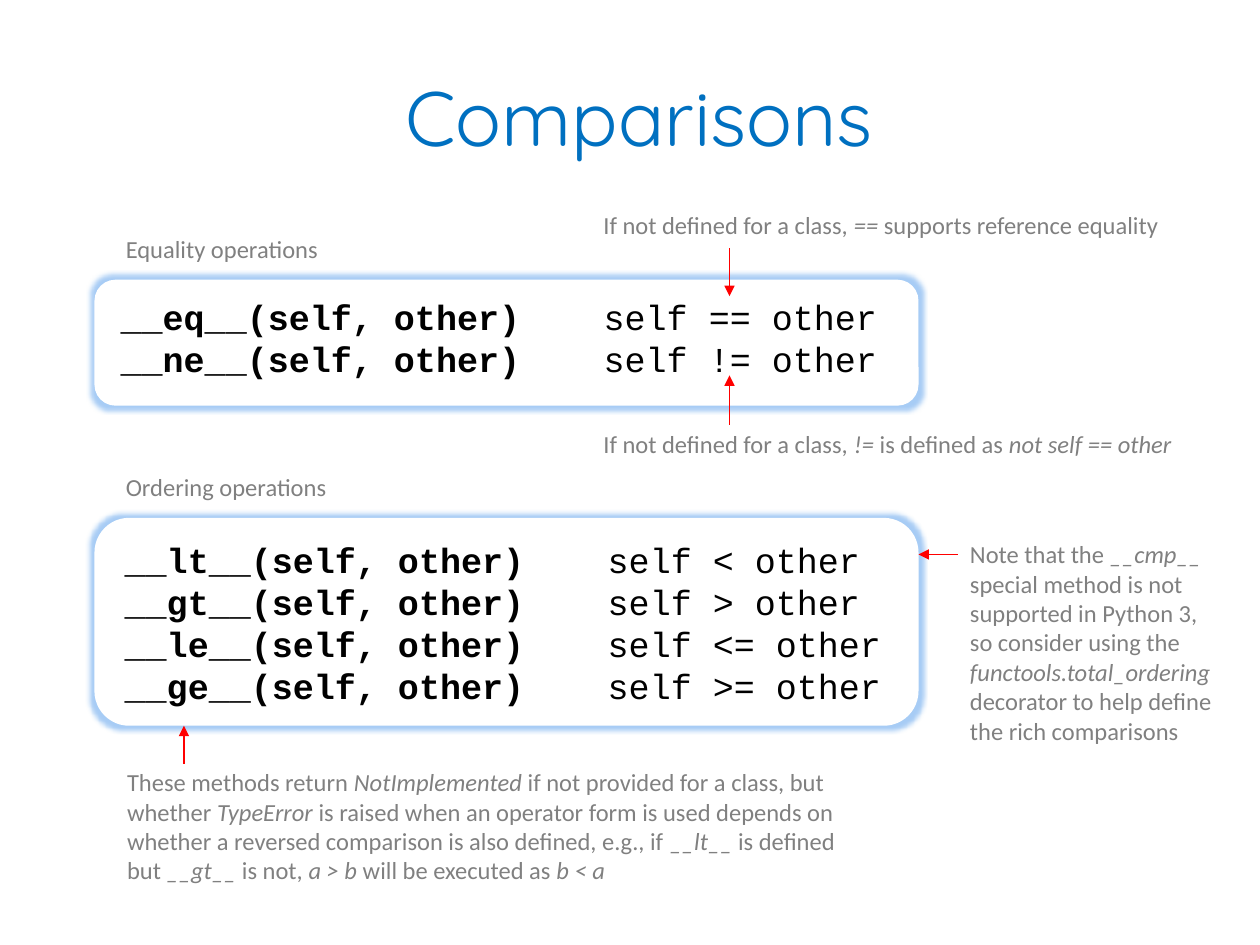
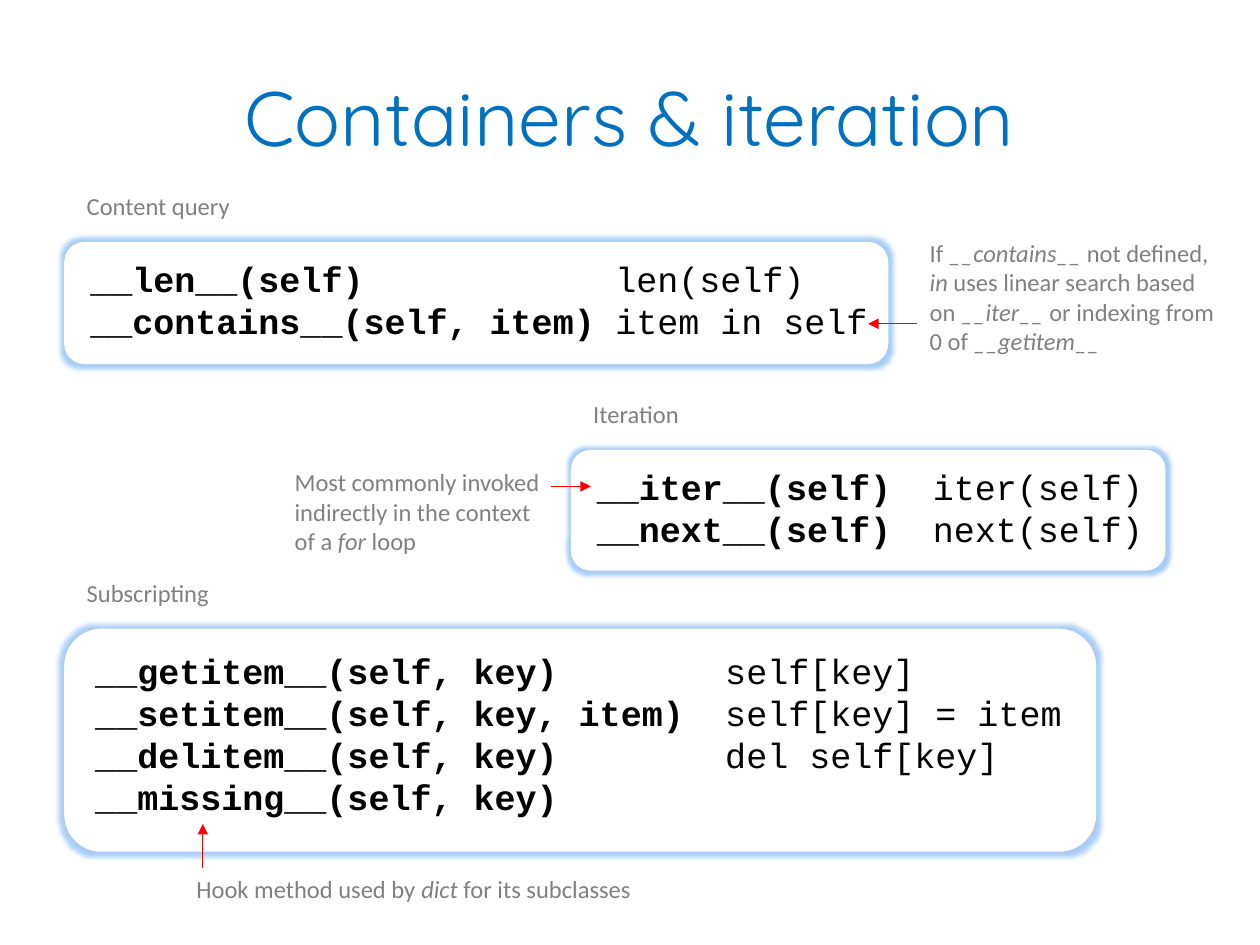
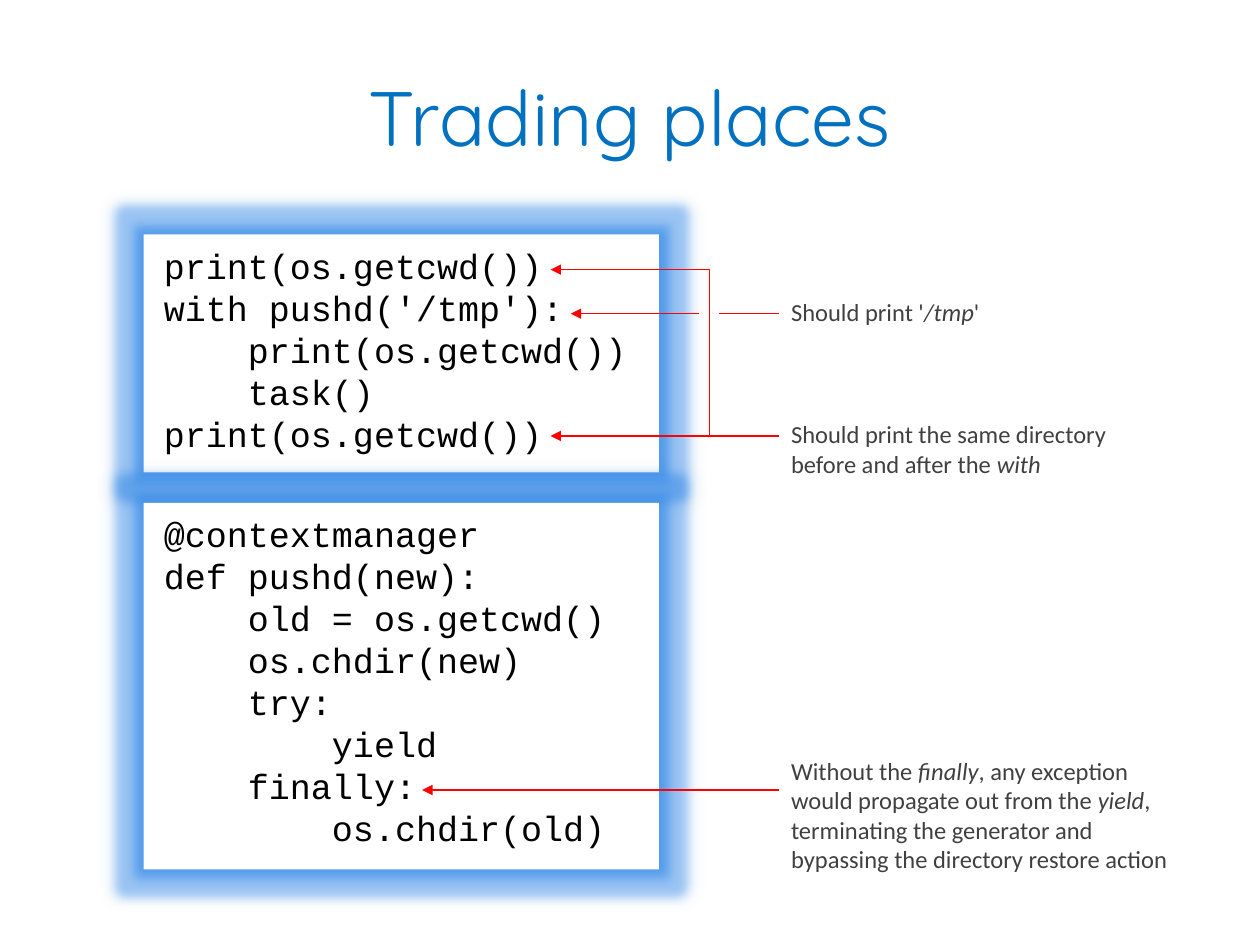
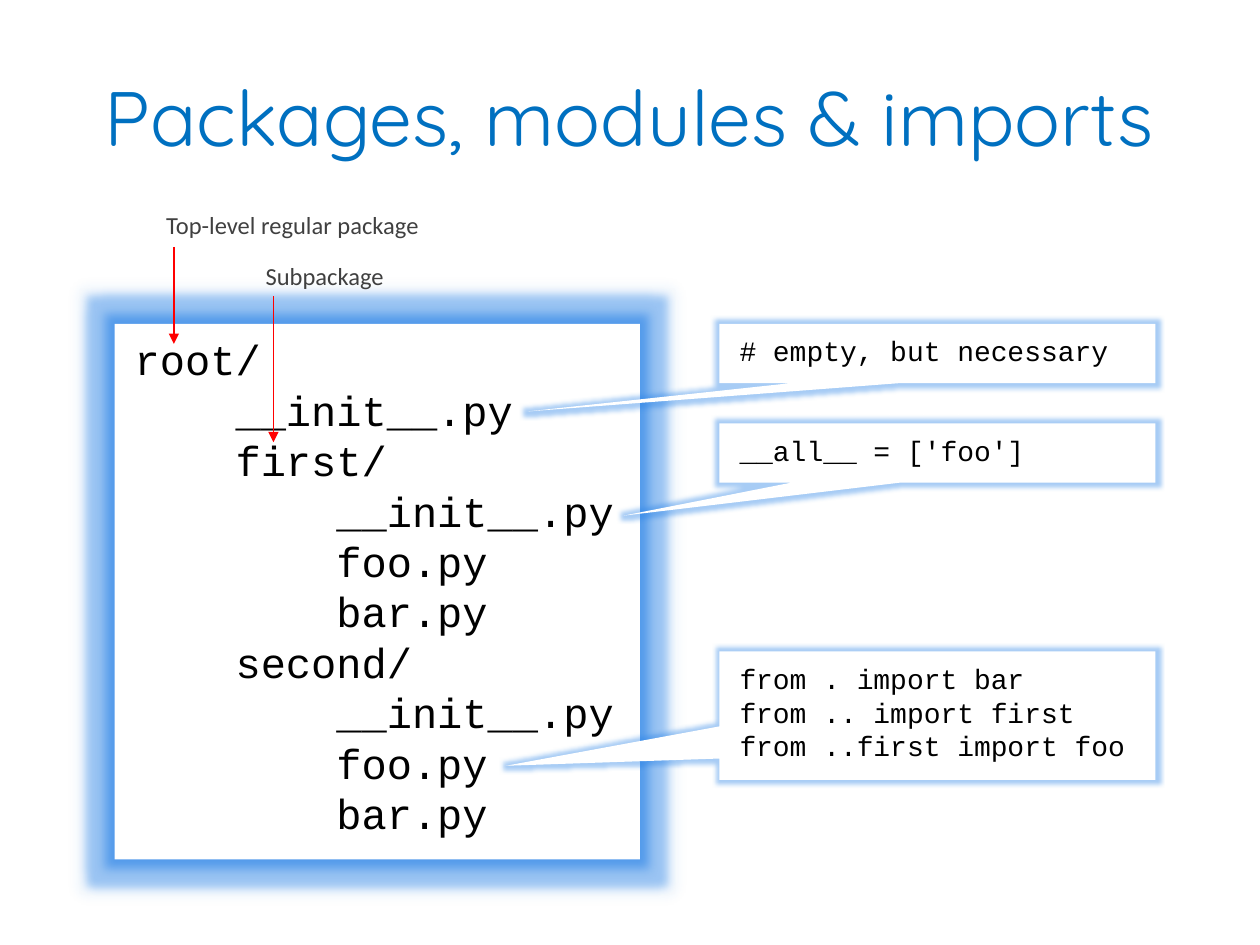
from typing import NamedTuple

from lxml.etree import SubElement as Sub
from pptx import Presentation as Deck
from pptx.dml.color import RGBColor as Rgb
from pptx.enum.shapes import MSO_CONNECTOR as Link, MSO_SHAPE as Form
from pptx.enum.text import MSO_ANCHOR as Anchor, MSO_AUTO_SIZE as Auto, PP_ALIGN as Align
from pptx.oxml.ns import qn
from pptx.util import Emu, Inches, Pt

# Shared look
WIDE, HIGH = Inches(10), Inches(7.5)
COLS, ROWS = 100, 75
BLUE, RED, WHITE, BLACK = "0070C0", "FF0000", "FFFFFF", "000000"
GREY, DARK, GLOW = "808080", "404040", "2580E6"
TITLE = dict(name="Quicksand", size=Pt(44))
CODE = dict(name="Courier New", size=Pt(20))
TREE = dict(CODE, size=Pt(24))
SMALL = dict(CODE, size=Pt(16))
NOTE = dict(name="Calibri", size=Pt(14))
LINE = 3.4  # height of a one-line note, in rows


class Box(NamedTuple):
    """A box in grid cells."""
    x: float
    y: float
    w: float
    h: float

    def inner(self, x, y, w, h):
        return Box(self.x + x, self.y + y, w, h)

    def spot(self, x, y):
        return across(self.x + x), down(self.y + y)

    def frame(self):
        return across(self.x), down(self.y), across(self.w), down(self.h)


def across(cols):
    return Emu(round(cols * WIDE / COLS))


def down(rows):
    return Emu(round(rows * HIGH / ROWS))


def color(text):
    return Rgb.from_string(text)


def apply(thing, form):
    for key, value in form.items():
        setattr(thing, key, value)


def add_run(para, text, form, tint, **more):
    run = para.add_run()
    run.text = text
    apply(run.font, {**form, **more})
    run.font.color.rgb = color(tint)


def fill_lines(frame, lines):
    """Yield a left-aligned paragraph with each line."""
    for i, line in enumerate(lines):
        para = frame.add_paragraph() if i else frame.paragraphs[0]
        para.alignment = Align.LEFT
        yield para, line


def start(deck, title, width=90):
    slide = deck.slides.add_slide(deck.slide_layouts[5])
    head = slide.shapes.title
    area = Box(5, 2.9, width, 12.5).frame()
    apply(head, dict(zip(("left", "top", "width", "height"), area)))
    head.text_frame.vertical_anchor = Anchor.MIDDLE
    para = head.text_frame.paragraphs[0]
    para.alignment = Align.CENTER
    add_run(para, title, TITLE, BLUE)
    return slide


# Notes, lines and arrows
def note(slide, box, text, tint=GREY, wrap=True):
    """Words between asterisks are italic."""
    frame = slide.shapes.add_textbox(*box.frame()).text_frame
    apply(frame, dict(word_wrap=wrap, auto_size=Auto.SHAPE_TO_FIT_TEXT))
    for i, part in enumerate(text.split("*")):
        if part:
            add_run(frame.paragraphs[0], part, NOTE, tint, italic=i % 2 == 1)


def draw_line(shape, end=None):
    shape.line.color.rgb = color(RED)
    shape.line.width = Pt(0.75)
    if end:
        Sub(shape.line._get_or_add_ln(), qn(f"a:{end}"), type="triangle")


def arrow(slide, box, begin, end, tip="tailEnd"):
    link = slide.shapes.add_connector(Link.STRAIGHT, *box.spot(*begin), *box.spot(*end))
    draw_line(link, tip)
    Sub(link._element.spPr, qn("a:effectLst"))


def elbow(slide, box, points):
    first, *rest = [box.spot(*point) for point in points]
    pen = slide.shapes.build_freeform(*first)
    pen.add_line_segments(rest, close=False)
    shape = pen.convert_to_shape()
    shape.fill.background()
    shape.shadow.inherit = False
    draw_line(shape, "headEnd")


def remark(slide, box, area, text, begin, end, tint=GREY):
    """A note and its arrow, both placed from the corner of a panel."""
    note(slide, box.inner(*area), text, tint)
    arrow(slide, box, begin, end)


# Glowing panels
def effect(parent, tag, **size):
    part = Sub(parent, qn(f"a:{tag}"), **size)
    tint = Sub(part, qn("a:srgbClr"), val=GLOW)
    Sub(tint, qn("a:alpha"), val="40000")


def panel(slide, box, form, right=0.16, deep=False):
    shape = slide.shapes.add_shape(form, *box.frame())
    shape.fill.solid()
    shape.fill.fore_color.rgb = color(WHITE)
    shape.line.fill.background()
    shape.shadow.inherit = False
    effects = shape._element.spPr.find(qn("a:effectLst"))
    effect(effects, "glow", rad=str(Pt(11 if deep else 5)))
    if deep:
        effect(effects, "outerShdw", blurRad=str(Pt(5)), sx="102000", sy="102000",
               algn="ctr", rotWithShape="0")
    apply(shape.text_frame, dict(
        margin_left=Inches(0.16), margin_right=Inches(right),
        margin_top=Inches(0.08), margin_bottom=Inches(0.08),
        vertical_anchor=Anchor.TOP, word_wrap=True))
    return shape


def listing(slide, box, lines, form=CODE, outline=Form.RECTANGLE, deep=True):
    shape = panel(slide, box, outline, deep=deep)
    for para, line in fill_lines(shape.text_frame, lines):
        add_run(para, line, form, BLACK)
    return shape


def methods(slide, box, head, pairs, gap, shift, right=0.16):
    """A headed panel: bold methods, and their uses at a tab stop."""
    shape = panel(slide, box, Form.ROUNDED_RECTANGLE, right)
    longest = max(len(name) for name, use in pairs)
    stop = round((longest + gap) * CODE["size"] * 0.6)
    for para, (name, use) in fill_lines(shape.text_frame, pairs):
        tabs = Sub(para._p.get_or_add_pPr(), qn("a:tabLst"))
        Sub(tabs, qn("a:tab"), pos=str(stop), algn="l")
        add_run(para, name, CODE, BLACK, bold=True)
        if use:
            add_run(para, "\t" + use, CODE, BLACK, bold=False)
    note(slide, box.inner(*shift, 20, LINE), head, wrap=False)


def callout(slide, box, lines, tip):
    shape = listing(slide, box, lines, SMALL, Form.RECTANGULAR_CALLOUT, False)
    for i, value in enumerate(tip):
        shape.adjustments[i] = value


# Slides
def compare(deck):
    slide = start(deck, "Comparisons", 91.5)
    shift = (1.5, -4.15)

    equal = Box(7.5, 22.2, 65.4, 10)
    signs = dict(eq="==", ne="!=")
    methods(slide, equal, "Equality operations", pair_up(signs), 4, shift)
    remark(slide, equal, (39.4, -6, 47.2, LINE),
           "If not defined for a class, *==* supports reference equality",
           (50.4, -2.5), (50.4, 1.3))
    remark(slide, equal, (39.4, 11.4, 47.2, LINE),
           "If not defined for a class, *!=* is defined as *not self == other*",
           (50.4, 11.5), (50.4, 7.6))

    order = Box(7.5, 41.1, 65.4, 16.5)
    signs = dict(lt="<", gt=">", le="<=", ge=">=")
    methods(slide, order, "Ordering operations", pair_up(signs), 4, shift)
    remark(slide, order, (1.6, 19.3, 59.1, 10.4),
           "These methods return *NotImplemented* if not provided for a class, but "
           "whether *TypeError* is raised when an operator form is used depends on "
           "whether a reversed comparison is also defined, e.g., if *__lt__* is "
           "defined but *__gt__* is not, *a > b* will be executed as *b < a*",
           (7.1, 19.5), (7.1, 16.5))
    remark(slide, order, (68.5, 1.2, 22, 17.5),
           "Note that the *__cmp__* special method is not supported in Python 3, so "
           "consider using the *functools.total_ordering* decorator to help define "
           "the rich comparisons",
           (68.5, 2.9), (65.4, 2.9))


def pair_up(signs):
    return [(f"__{name}__(self, other)", f"self {sign} other")
            for name, sign in signs.items()]


def contain(deck):
    slide = start(deck, "Containers & iteration")
    shift = (0.8, -4.5)

    query = Box(5.1, 19.2, 65.4, 9.7)
    methods(slide, query, "Content query", [
        ("__len__(self)", "len(self)"),
        ("__contains__(self, item)", "item in self"),
    ], 1, shift, right=0)
    remark(slide, query, (67.7, -0.8, 25.2, 10.4),
           "If *__contains__ *not defined, *in* uses linear search based on "
           "*__iter__* or indexing from 0 of *__getitem__*",
           (67.7, 6.5), (63.8, 6.5))

    loop = Box(45.3, 35.7, 47.2, 9.6)
    methods(slide, loop, "Iteration", [
        (f"__{name}__(self)", f"{name}(self)") for name in ("iter", "next")
    ], 2, shift, right=0)
    remark(slide, loop, (-22.9, 0.9, 22, 8.1),
           "Most commonly invoked indirectly in the context of a *for* loop",
           (-1.6, 2.9), (1.6, 2.9))

    index = Box(5.1, 49.9, 81.9, 17.7)
    methods(slide, index, "Subscripting", [
        ("__getitem__(self, key)", "self[key]"),
        ("__setitem__(self, key, item)", "self[key] = item"),
        ("__delitem__(self, key)", "del self[key]"),
        ("__missing__(self, key)", ""),
    ], 2, shift)
    remark(slide, index, (9.5, 19, 37.8, LINE),
           "Hook method used by *dict* for its subclasses", (11, 19), (11, 15.5))


def trade(deck):
    slide = start(deck, "Trading places")
    side, wide = 50.4, 32.3  # left edge and width of the notes

    usage = Box(11.4, 18.6, 40.9, 18.9)
    listing(slide, usage, [
        "print(os.getcwd())",
        "with pushd('/tmp'):",
        "    print(os.getcwd())",
        "    task()",
        "print(os.getcwd())",
    ])
    remark(slide, usage, (side, 14.2, wide, 5.7),
           "Should print the same directory before and after the *with*",
           (side, 16), (32.3, 16), DARK)
    elbow(slide, usage, [(32.3, 2.8), (44.9, 2.8), (44.9, 16)])
    remark(slide, usage, (side, 4.5, wide, LINE), "Should print '*/tmp*'",
           (44.1, 6.3), (33.9, 6.3), DARK)
    arrow(slide, usage, (side, 6.3), (45.7, 6.3), tip=None)

    maker = Box(11.4, 39.9, 40.9, 29.1)
    listing(slide, maker, [
        "@contextmanager",
        "def pushd(new):",
        "    old = os.getcwd()",
        "    os.chdir(new)",
        "    try:",
        "        yield",
        "    finally:",
        "        os.chdir(old)",
    ])
    remark(slide, maker, (side, 19.6, wide, 10.4),
           "Without the *finally*, any exception would propagate out from the "
           "*yield*, terminating the generator and bypassing the directory "
           "restore action",
           (side, 22.8), (22.1, 22.8), DARK)


def bundle(deck):
    slide = start(deck, "Packages, modules & imports")

    tree = Box(9.1, 25.7, 41.7, 42.5)
    listing(slide, tree, [
        "root/",
        "    __init__.py",
        "    first/",
        "        __init__.py",
        "        foo.py",
        "        bar.py",
        "    second/",
        "        __init__.py",
        "        foo.py",
        "        bar.py",
    ], TREE)
    remark(slide, tree, (3.1, -9.5, 23.6, LINE), "Top-level regular package",
           (4.7, -6.1), (4.7, 1.6), DARK)
    remark(slide, tree, (11, -5.5, 19.7, LINE), "Subpackage",
           (12.6, -2.2), (12.6, 9.4), DARK)

    # File contents: top and height from the tree, lines, pointer tip
    for top, high, lines, tip in [
        (0, 4.7, ["# empty, but necessary"], (-0.94, 0.98)),
        (7.9, 4.7, ["__all__ = ['foo']"], (-0.72, 1.06)),
        (26, 10.2, ["from . import bar", "from .. import first",
                    "from ..first import foo"], (-0.99, 0.39)),
    ]:
        callout(slide, tree.inner(48, top, 34.6, high), lines, tip)


def main():
    deck = Deck()
    deck.slide_width, deck.slide_height = WIDE, HIGH
    for build in (compare, contain, trade, bundle):
        build(deck)
    deck.save("out.pptx")


if __name__ == "__main__":
    main()
